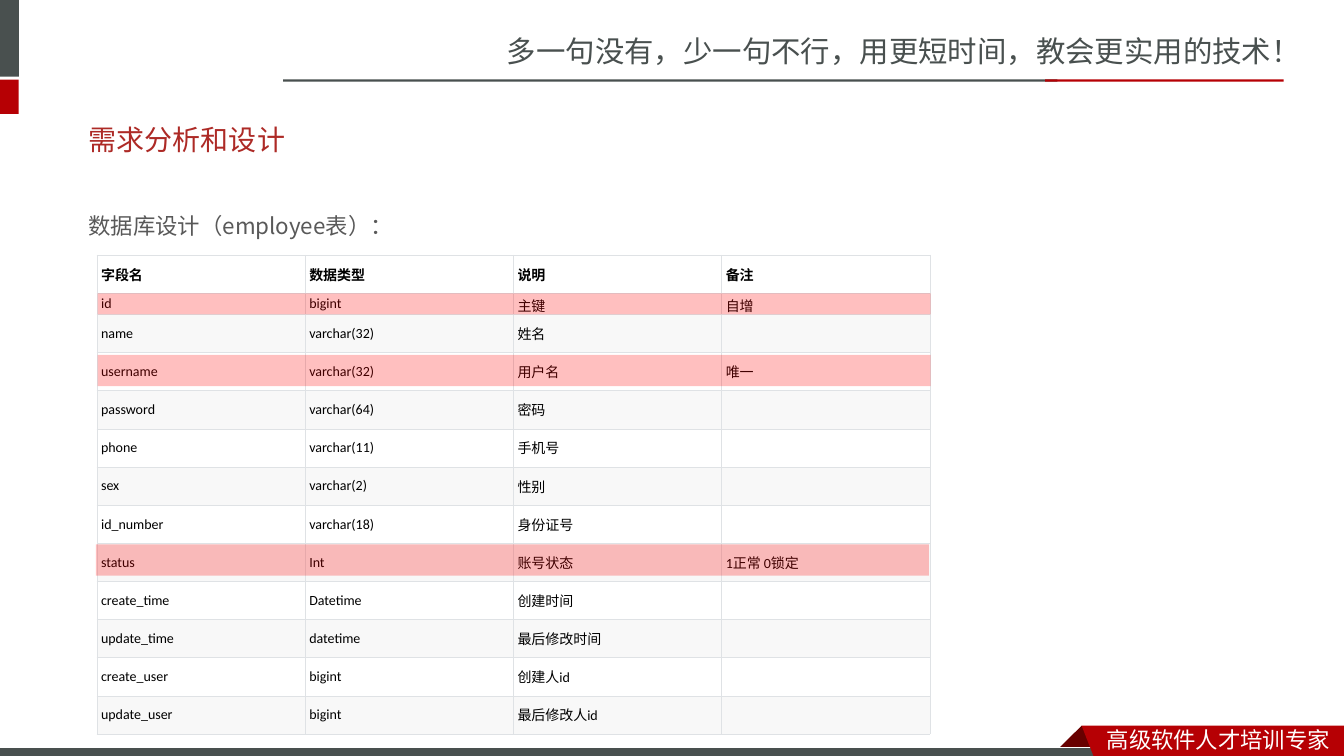
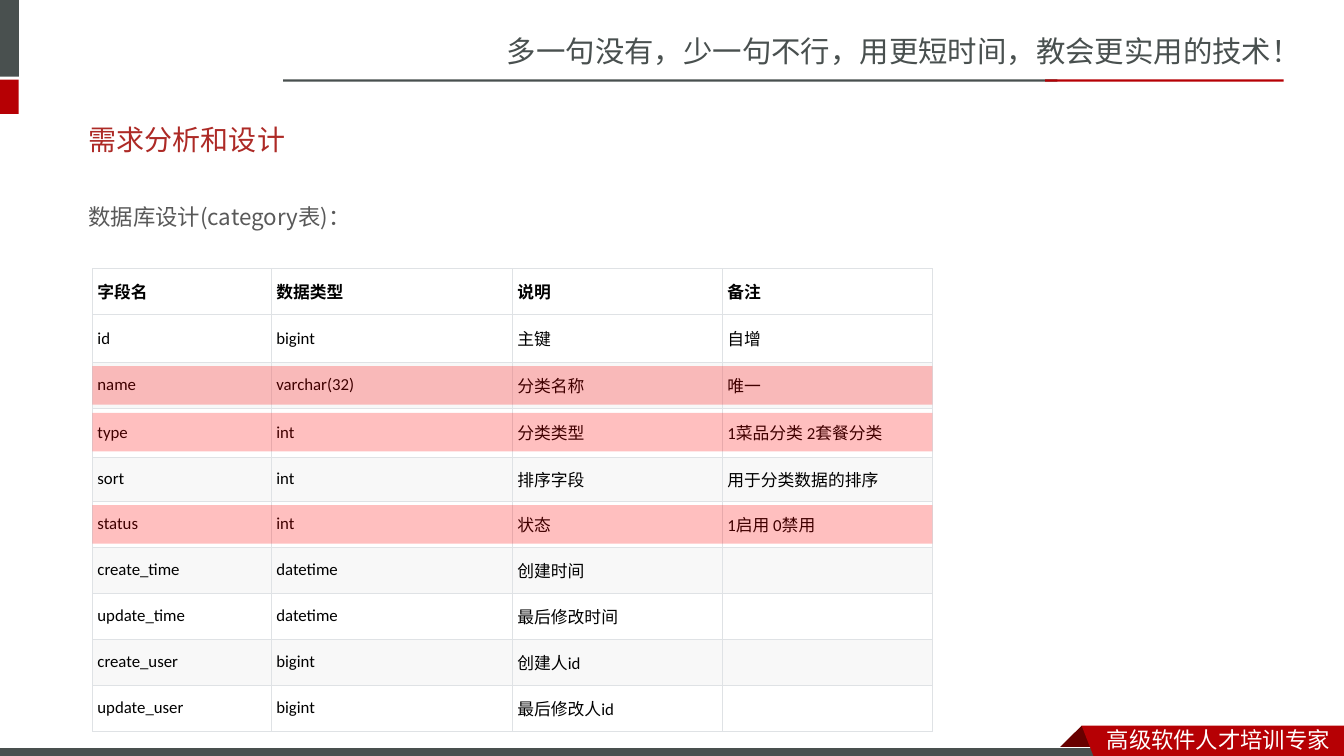
from lxml.etree import SubElement
from pptx import Presentation
from pptx.dml.color import RGBColor
from pptx.enum.shapes import MSO_SHAPE
from pptx.enum.text import MSO_ANCHOR, PP_ALIGN
from pptx.oxml.ns import qn
from pptx.util import Pt

GREY = RGBColor(0x49, 0x50, 0x4F)
RED = RGBColor(0xB6, 0x00, 0x04)
DARK_RED = RGBColor(0x68, 0x00, 0x00)
TITLE_RED = RGBColor(0xAD, 0x2A, 0x26)
TEXT_GREY = RGBColor(0x59, 0x59, 0x59)
BAND_GREY = RGBColor(0xF8, 0xF8, 0xF8)
BORDER_GREY = RGBColor(0xDF, 0xE2, 0xE5)
HIGHLIGHT_RED = RGBColor(0xFF, 0x00, 0x00)
WHITE = RGBColor(0xFF, 0xFF, 0xFF)
BLACK = RGBColor(0x00, 0x00, 0x00)

BODY_FONT = "Calibri"
SUBTITLE_FONT = "Noto Sans CJK JP"
FRAME_FONT = "Noto Sans CJK SC"

TITLE = "需求分析和设计"
SLOGAN = "多一句没有，少一句不行，用更短时间，教会更实用的技术！"
FOOTER = "高级软件人才培训专家"
HEADER = ("字段名", "数据类型", "说明", "备注")
AUDIT_FIELDS = [
    ("update_time", "datetime", "最后修改时间", ""),
    ("create_user", "bigint", "创建人id", ""),
    ("update_user", "bigint", "最后修改人id", ""),
]

# Lengths are in points; each highlight is (left, top, height).
DESIGNS = [
    {
        "subtitle": "数据库设计（employee表）：",
        "subtitle_box": (56.2, 128.9, 834.5, 72),
        "line_spacing": 2.0,
        "fields": [
            ("id", "bigint", "主键", "自增"),
            ("name", "varchar(32)", "姓名", ""),
            ("username", "varchar(32)", "用户名", "唯一"),
            ("password", "varchar(64)", "密码", ""),
            ("phone", "varchar(11)", "手机号", ""),
            ("sex", "varchar(2)", "性别", ""),
            ("id_number", "varchar(18)", "身份证号", ""),
            ("status", "Int", "账号状态", "1正常 0锁定"),
            ("create_time", "Datetime", "创建时间", ""),
        ] + AUDIT_FIELDS,
        "origin": (69.3, 182.3),
        "columns": [148.75] * 4,
        "rows": [27.25, 15.1] + [27.25] * 11,
        "font_size": 10,
        "side_inset": 2.9,
        "highlights": [(69.8, 209.5, 15.1), (69.8, 253.5, 22.3), (68.6, 388.8, 22.3)],
    },
    {
        "subtitle": "数据库设计(category表)：",
        "subtitle_box": (56.2, 131.8, 869, 33.1),
        "line_spacing": 1.5,
        "fields": [
            ("id", "bigint", "主键", "自增"),
            ("name", "varchar(32)", "分类名称", "唯一"),
            ("type", "int", "分类类型", "1菜品分类 2套餐分类"),
            ("sort", "int", "排序字段", "用于分类数据的排序"),
            ("status", "int", "状态", "1启用 0禁用"),
            ("create_time", "datetime", "创建时间", ""),
        ] + AUDIT_FIELDS,
        "origin": (66, 191.9),
        "columns": [127.8, 172.2, 150, 150],
        "rows": [32.8, 34, 32.8, 35, 31.6] + [32.8] * 5,
        "font_size": 12,
        "side_inset": 3.6,
        "highlights": [(66, top, 27.5) for top in (261.6, 295, 360.9)],
    },
]


def style_text(paragraph, size, font_name, color, bold=False):
    paragraph.font.size = Pt(size)
    paragraph.font.name = font_name
    paragraph.font.color.rgb = color
    paragraph.font.bold = bold


def paint(shape, color):
    """Give a shape a plain fill without outline or shadow."""
    shape.shadow.inherit = False
    shape.fill.solid()
    shape.fill.fore_color.rgb = color
    shape.line.fill.background()
    return shape


def add_rectangle(slide, box, color):
    shape = slide.shapes.add_shape(MSO_SHAPE.RECTANGLE, *map(Pt, box))
    return paint(shape, color)


def add_polygon(slide, points, color):
    start, *others = [(Pt(x), Pt(y)) for x, y in points]
    builder = slide.shapes.build_freeform(*start)
    builder.add_line_segments(others, close=True)
    return paint(builder.convert_to_shape(), color)


def add_text(slide, box, text, size, font_name, color, wrap=False):
    frame = slide.shapes.add_textbox(*map(Pt, box)).text_frame
    frame.word_wrap = wrap
    paragraph = frame.paragraphs[0]
    paragraph.text = text
    style_text(paragraph, size, font_name, color)
    return paragraph


def add_frame(slide):
    """Draw the slogan, side blocks, rules and footer ribbon."""
    add_text(slide, (355, 20.2, 605, 33.8), SLOGAN, 21, FRAME_FONT, GREY)
    for box, color in [
        ((-4.3, 0, 17.8, 54.7), GREY),
        ((-4.3, 56.9, 17.6, 24.5), RED),
        ((202.3, 56.7, 553, 1.6), GREY),
        ((746.6, 56.7, 170.4, 1.6), RED),
    ]:
        add_rectangle(slide, box, color)
    add_polygon(slide, [(772.6, 518.4), (788.4, 534.2), (787.7, 535),
                        (757.4, 535), (756.7, 534.2)], DARK_RED)
    strip = add_rectangle(slide, (-0.7, 533.8, 792, 8.6), GREY)
    strip.line.color.rgb = WHITE
    strip.line.width = Pt(0.75)
    add_polygon(slide, [(772.6, 518.4), (960, 518.4), (960, 542.9),
                        (781.9, 542.2)], RED)
    add_text(slide, (783.4, 514.8, 176.4, 26.6), FOOTER, 16, FRAME_FONT, WHITE)


def set_title(slide):
    title = slide.shapes.title
    title.left, title.top, title.width, title.height = map(Pt, (56.2, 79.2, 842.4, 41))
    title.text_frame.vertical_anchor = MSO_ANCHOR.MIDDLE
    paragraph = title.text_frame.paragraphs[0]
    paragraph.text = TITLE
    paragraph.alignment = PP_ALIGN.LEFT
    style_text(paragraph, 20, BODY_FONT, TITLE_RED)


def set_borders(cell):
    properties = cell._tc.get_or_add_tcPr()
    for position, side in enumerate(("a:lnL", "a:lnR", "a:lnT", "a:lnB")):
        line = SubElement(properties, qn(side), w=str(Pt(0.5)))
        fill = SubElement(line, qn("a:solidFill"))
        SubElement(fill, qn("a:srgbClr"), val=str(BORDER_GREY))
        properties.insert(position, line)


def format_cell(cell, text, row_index, design):
    cell.vertical_anchor = MSO_ANCHOR.MIDDLE
    cell.margin_left = cell.margin_right = Pt(design["side_inset"])
    cell.margin_top = cell.margin_bottom = Pt(1.4)
    if row_index and row_index % 2 == 0:
        cell.fill.solid()
        cell.fill.fore_color.rgb = BAND_GREY
    else:
        cell.fill.background()
    set_borders(cell)
    paragraph = cell.text_frame.paragraphs[0]
    paragraph.text = text
    style_text(paragraph, design["font_size"], BODY_FONT, BLACK, bold=row_index == 0)


def add_field_table(slide, design):
    records = [HEADER] + design["fields"]
    columns, rows = design["columns"], design["rows"]
    box = (*design["origin"], sum(columns), sum(rows))
    table = slide.shapes.add_table(len(rows), len(columns), *map(Pt, box)).table
    table.first_row = table.horz_banding = False
    for column, width in zip(table.columns, columns):
        column.width = Pt(width)
    for row_index, (row, height, record) in enumerate(zip(table.rows, rows, records)):
        row.height = Pt(height)
        for cell, text in zip(row.cells, record):
            format_cell(cell, text, row_index, design)


def add_highlights(slide, design):
    for left, top, height in design["highlights"]:
        box = (left, top, sum(design["columns"]), height)
        shape = add_rectangle(slide, box, HIGHLIGHT_RED)
        color = shape._element.spPr.find(qn("a:solidFill")).find(qn("a:srgbClr"))
        SubElement(color, qn("a:alpha"), val="25000")


def main():
    presentation = Presentation()
    presentation.slide_width, presentation.slide_height = Pt(960), Pt(540)
    title_only = presentation.slide_layouts[5]
    for design in DESIGNS:
        slide = presentation.slides.add_slide(title_only)
        add_frame(slide)
        set_title(slide)
        subtitle = add_text(slide, design["subtitle_box"], design["subtitle"],
                            16, SUBTITLE_FONT, TEXT_GREY, wrap=True)
        subtitle.line_spacing = design["line_spacing"]
        add_field_table(slide, design)
        add_highlights(slide, design)
    presentation.save("out.pptx")


if __name__ == "__main__":
    main()
